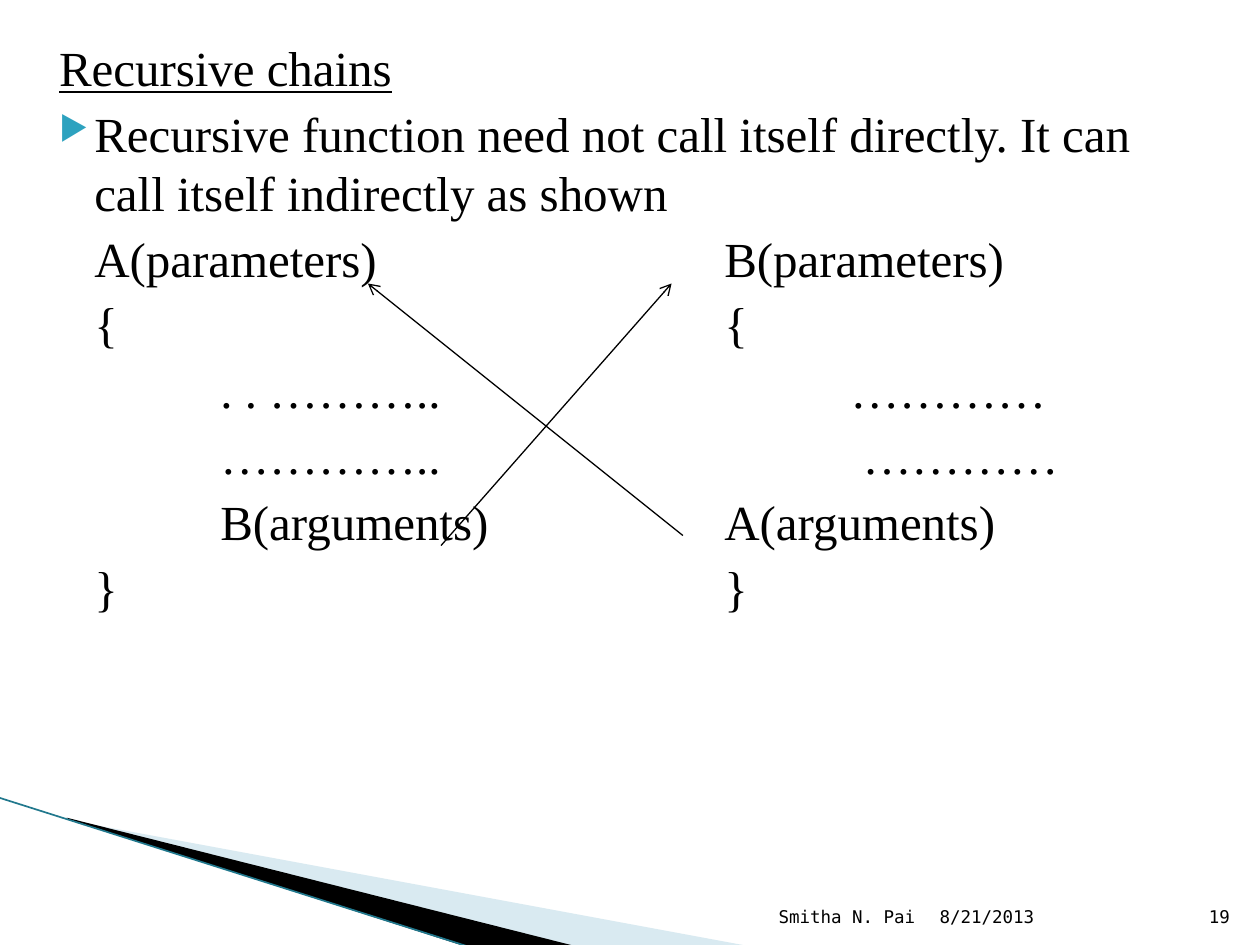
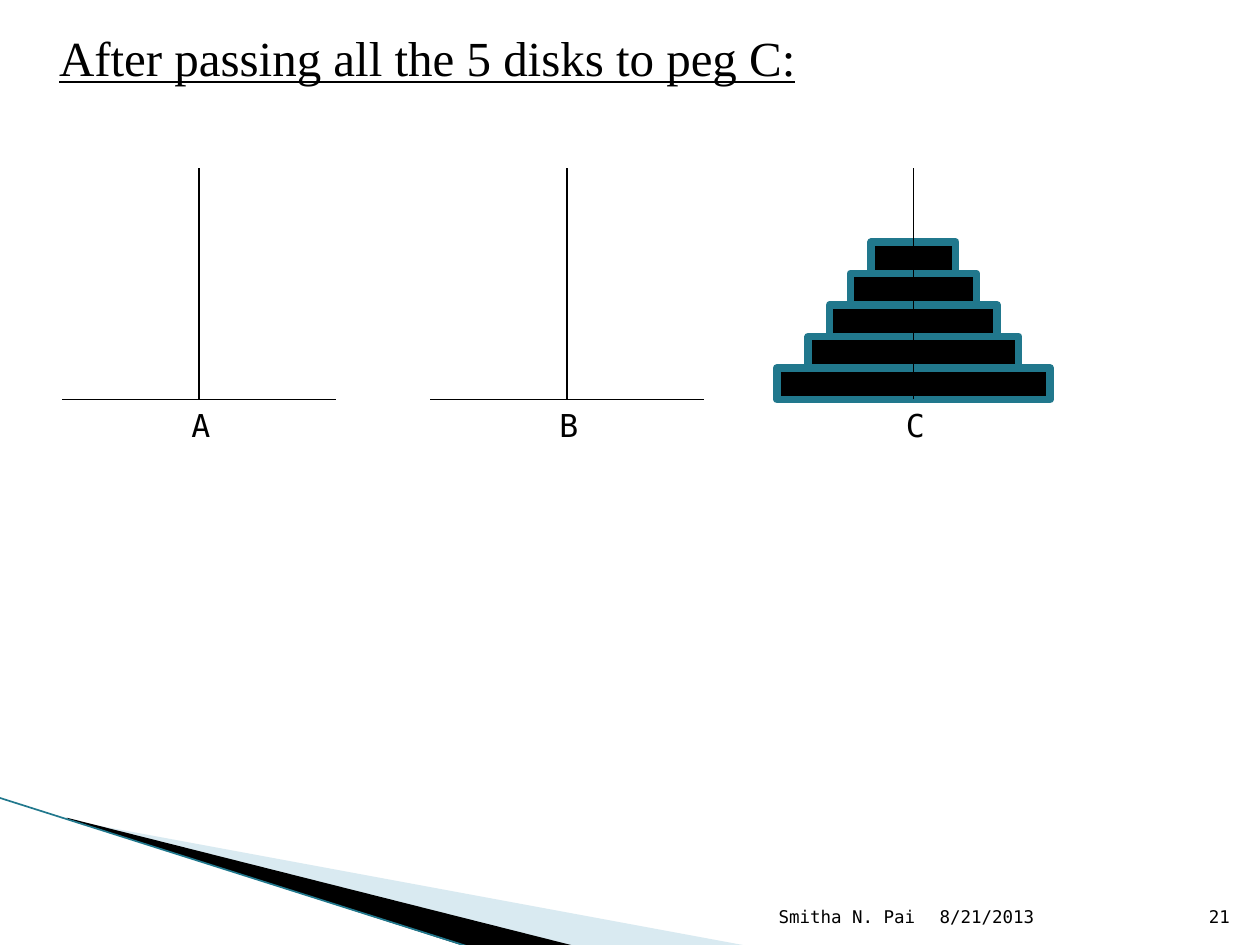
from lxml import etree
from pptx import Presentation
from pptx.dml.color import RGBColor
from pptx.enum.shapes import MSO_CONNECTOR, MSO_SHAPE
from pptx.enum.text import MSO_ANCHOR, PP_ALIGN
from pptx.oxml import parse_xml
from pptx.oxml.ns import qn
from pptx.util import Inches, Pt

STRAIGHT, RECT = MSO_CONNECTOR.STRAIGHT, MSO_SHAPE.RECTANGLE
BOTTOM, TOP = MSO_ANCHOR.BOTTOM, MSO_ANCHOR.TOP
LEFT, RIGHT = PP_ALIGN.LEFT, PP_ALIGN.RIGHT
NS = 'xmlns:a="http://schemas.openxmlformats.org/drawingml/2006/main"'

BLACK, TEAL, PALE, MARK = "000000", "21788D", "A0CBDC", "2DA2BF"
SERIF, MONO = "Times New Roman", "DejaVu Sans Mono"
BODY = {"name": SERIF, "size": Pt(28)}
LABEL = {"name": MONO, "size": Pt(18)}
SMALL = {"name": MONO, "size": Pt(10)}
HANG = {"marL": 0.4, "indent": -0.28, "defTabSz": 1}

# Corner wedges: points, colour, opacity in percent
WEDGES = [
    ([(0.55, 6.51), (5.95, 7.51), (4.56, 7.51), (0.55, 6.5)], PALE, 40),
    ([(0.53, 6.49), (4.57, 7.51), (3.72, 7.52), (0.54, 6.5)], BLACK, 100),
]
EDGE = (-0.01, 6.33), (3.74, 7.52)
AUTHOR, DATE = "Smitha N. Pai", "8/21/2013"

CHAIN_TITLE = "Recursive chains"
CHAIN_POINT = ("Recursive function need not call itself directly. "
               "It can call itself indirectly as shown")
CHAIN_CODE = [
    "\tA(parameters)\t\t\tB(parameters)",
    "\t{\t\t\t\t\t{",
    "\t\t. . ………..\t\t\t\t…………",
    "\t\t…………..\t\t\t\t …………",
    "\t\tB(arguments)\t\tA(arguments)",
    "\t}\t\t\t\t\t}",
]
CALLS = [((3.5, 4.33), (5.33, 2.25)), ((5.42, 4.25), (2.92, 2.25))]

PEG_TITLE = "After passing all the 5 disks to peg C:"
PEGS = {"A": 1.58, "B": 4.5, "C": 7.25}
BASES = "AB"
DISKS = [2.17, 1.67, 1.33, 1, 0.67]
PEG_TOP, FLOOR, BASE, THICK = 1.33, 3.17, 2.17, 0.25


def rgb(code):
    return RGBColor.from_string(code)


def paint(shape, fill, line=None, width=0):
    shape.shadow.inherit = False
    shape.fill.solid()
    shape.fill.fore_color.rgb = rgb(fill)
    if line:
        shape.line.color.rgb = rgb(line)
        shape.line.width = Pt(width)
    else:
        shape.line.fill.background()


def add_line(slide, start, end, color=BLACK, width=0.75, arrow=False):
    ends = [Inches(v) for v in (*start, *end)]
    line = slide.shapes.add_connector(STRAIGHT, *ends)
    line.line.color.rgb = rgb(color)
    line.line.width = Pt(width)
    props = line._element.spPr
    if arrow:
        etree.SubElement(props.find(qn("a:ln")), qn("a:tailEnd"), type="arrow")
    etree.SubElement(props, qn("a:effectLst"))


def add_text(slide, box, lines, style, align=LEFT, anchor=TOP):
    """Add a text box and return its paragraphs."""
    frame = slide.shapes.add_textbox(*map(Inches, box)).text_frame
    frame.word_wrap = True
    frame.vertical_anchor = anchor
    for i, line in enumerate(lines):
        para = frame.add_paragraph() if i else frame.paragraphs[0]
        para.alignment = align
        run = para.add_run()
        run.text = line
        for key, value in style.items():
            setattr(run.font, key, value)
        run.font.color.rgb = rgb(BLACK)
    return frame.paragraphs


def add_body(slide, box, lines):
    """Add hanging lines, the first of them an underlined title."""
    paras = add_text(slide, box, lines, BODY)
    paras[0].runs[0].font.underline = True
    for para in paras:
        para.space_before = Pt(4)
        props = para._p.get_or_add_pPr()
        for key, value in HANG.items():
            props.set(key, str(Inches(value)))
    return paras


def add_bullet(para):
    props = para._p.get_or_add_pPr()
    for part in (f'<a:buClr {NS}><a:srgbClr val="{MARK}"/></a:buClr>',
                 f'<a:buSzPct {NS} val="68000"/>',
                 f'<a:buChar {NS} char="▶"/>'):
        props.append(parse_xml(part))


def add_slide(deck):
    """Add a blank slide with the corner wedges."""
    slide = deck.slides.add_slide(deck.slide_layouts[6])
    for points, color, alpha in WEDGES:
        first, *rest = [(Inches(x), Inches(y)) for x, y in points]
        path = slide.shapes.build_freeform(*first)
        path.add_line_segments(rest, close=True)
        wedge = path.convert_to_shape()
        paint(wedge, color)
        if alpha < 100:
            tint = wedge._element.spPr.find(".//" + qn("a:srgbClr"))
            etree.SubElement(tint, qn("a:alpha"), val=str(alpha * 1000))
    add_line(slide, *EDGE, TEAL, 0.95)
    return slide


def add_footer(slide, number):
    for left, width, text, align in ((7.36, 2.1, DATE, LEFT),
                                     (4.79, 2.57, AUTHOR, RIGHT),
                                     (9.46, 0.4, str(number), RIGHT)):
        add_text(slide, (left, 7.01, width, 0.4), [text], SMALL, align, BOTTOM)


def chain_slide(deck):
    slide = add_slide(deck)
    paras = add_body(slide, (0.25, 0.25, 9.25, 7),
                     [CHAIN_TITLE, CHAIN_POINT, *CHAIN_CODE])
    add_bullet(paras[1])
    for start, end in CALLS:
        add_line(slide, start, end, arrow=True)
    add_footer(slide, 19)


def peg_slide(deck):
    slide = add_slide(deck)
    add_body(slide, (0.25, 0.17, 9.58, 7.17), [PEG_TITLE])
    for i, width in enumerate(DISKS):
        box = (PEGS["C"] - width / 2, FLOOR - THICK * (i + 1), width, THICK)
        disk = slide.shapes.add_shape(RECT, *map(Inches, box))
        paint(disk, BLACK, TEAL, 4.33)
    for name, x in PEGS.items():
        add_line(slide, (x, FLOOR), (x, PEG_TOP))
        if name in BASES:
            add_line(slide, (x - BASE / 2, FLOOR), (x + BASE / 2, FLOOR))
        add_text(slide, (x - 0.16, FLOOR, 0.25, 0.4), [name], LABEL)
    add_footer(slide, 21)


def main():
    deck = Presentation()
    deck.slide_width, deck.slide_height = Inches(10), Inches(7.5)
    chain_slide(deck)
    peg_slide(deck)
    deck.save("out.pptx")


if __name__ == "__main__":
    main()
